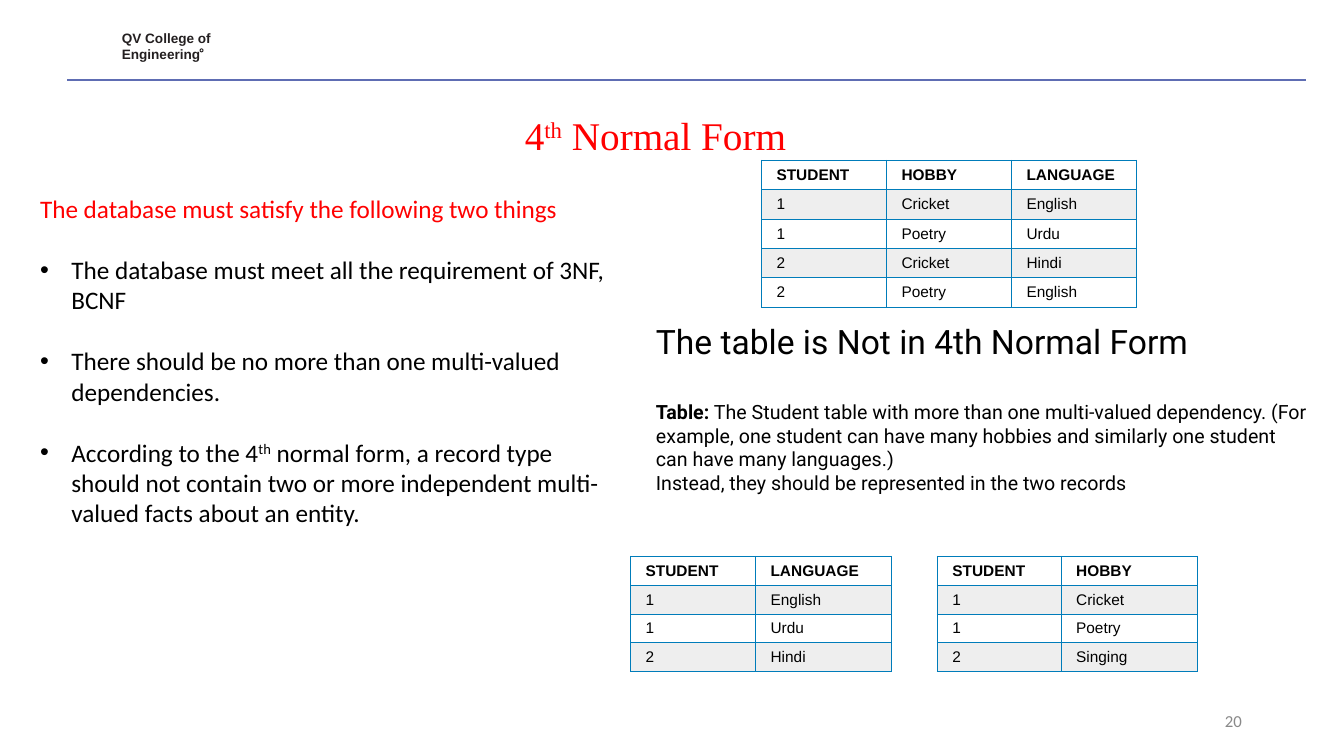
from lxml.etree import SubElement
from pptx import Presentation
from pptx.dml.color import RGBColor
from pptx.enum.shapes import MSO_CONNECTOR, MSO_SHAPE
from pptx.enum.text import MSO_ANCHOR, PP_ALIGN
from pptx.oxml import parse_xml
from pptx.oxml.ns import nsdecls, qn
from pptx.util import Cm, Pt

RED = RGBColor(0xFF, 0x00, 0x00)
BLACK = RGBColor(0x00, 0x00, 0x00)
WHITE = RGBColor(0xFF, 0xFF, 0xFF)
BAND = RGBColor(0xEE, 0xEE, 0xEE)
GRAY = RGBColor(0x89, 0x89, 0x89)
INK = RGBColor(0x23, 0x1F, 0x20)
RULE = RGBColor(0x5E, 0x6D, 0xB3)
BORDER = RGBColor(0x00, 0x7C, 0xBA)

# A paragraph is a list of (text, style) spans; style is "", "bold" or "super".
COLLEGE = [[("QV College of", "")], [("Engineering", "")]]
TITLE = [("4", ""), ("th", "super"), (" Normal Form", "")]
CONDITIONS_HEADING = [("The database must satisfy the following two things", "")]
CONDITIONS = [
    [("The database must meet all the requirement of 3NF, BCNF", "")],
    [("There should be no more than one multi-valued dependencies.", "")],
    [("According to the 4", ""), ("th", "super"),
     (" normal form, a record type should not contain two or more independent "
      "multi-valued facts about an entity.", "")],
]
VERDICT = [("The table is Not in 4th Normal Form", "")]
EXPLANATION = [
    [("Table:", "bold"),
     (" The Student table with more than one multi-valued dependency. (For example, "
      "one student can have many hobbies and similarly one student can have many "
      "languages.)", "")],
    [("Instead, they should be represented in the two records", "")],
]
PAGE_NUMBER = [("20", "")]

# left, top, column widths, row height (cm), rows
TABLES = [
    (19.19, 4.04, (3.15, 3.15, 3.15), 0.74, [
        ("STUDENT", "HOBBY", "LANGUAGE"),
        ("1", "Cricket", "English"),
        ("1", "Poetry", "Urdu"),
        ("2", "Cricket", "Hindi"),
        ("2", "Poetry", "English"),
    ]),
    (15.89, 14.02, (3.15, 3.43), 0.72, [
        ("STUDENT", "LANGUAGE"),
        ("1", "English"),
        ("1", "Urdu"),
        ("2", "Hindi"),
    ]),
    (23.62, 14.02, (3.12, 3.43), 0.72, [
        ("STUDENT", "HOBBY"),
        ("1", "Cricket"),
        ("1", "Poetry"),
        ("2", "Singing"),
    ]),
]


def add_box(page, left, top, width, height):
    frame = page.shapes.add_textbox(Cm(left), Cm(top), Cm(width), Cm(height)).text_frame
    frame.word_wrap = True
    return frame


def add_paragraph(frame, spans, font, size, color, before=0):
    """Fill the empty first paragraph of the frame, or append one."""
    first = frame.paragraphs[0]
    para = frame.add_paragraph() if first.runs else first
    para.space_before = Pt(before)
    para.font.name, para.font.size = font, Pt(size)
    para.font.color.rgb = color
    for text, style in spans:
        span = para.add_run()
        span.text = text
        if style == "bold":
            span.font.bold = True
        elif style == "super":
            span.font._element.set("baseline", "30000")
    return para


def add_bullet(para, indent):
    properties = para._p.get_or_add_pPr()
    properties.set("marL", str(indent))
    properties.set("indent", str(-indent))
    bullet = parse_xml(f'<a:buChar {nsdecls("a")} char="•"/>')
    font = parse_xml(f'<a:buFont {nsdecls("a")} typeface="Arial"/>')
    defaults = properties.find(qn("a:defRPr"))
    defaults.addprevious(font)
    defaults.addprevious(bullet)


def add_borders(cell):
    properties = cell._tc.get_or_add_tcPr()
    for place, side in enumerate(("lnL", "lnR", "lnT", "lnB")):
        properties.insert(place, parse_xml(
            f'<a:{side} {nsdecls("a")} w="{Pt(0.75)}"><a:solidFill>'
            f'<a:srgbClr val="{BORDER}"/></a:solidFill></a:{side}>'))


def add_data_table(page, left, top, widths, row_height, rows):
    table = page.shapes.add_table(
        len(rows), len(widths), Cm(left), Cm(top),
        Cm(sum(widths)), Cm(row_height * len(rows))).table
    for column, width in zip(table.columns, widths):
        column.width = Cm(width)
    for r, values in enumerate(rows):
        table.rows[r].height = Cm(row_height)
        for c, value in enumerate(values):
            cell = table.cell(r, c)
            cell.vertical_anchor = MSO_ANCHOR.MIDDLE
            cell.margin_left = cell.margin_right = Cm(0.38)
            cell.margin_top = cell.margin_bottom = Cm(0.13)
            cell.fill.solid()
            cell.fill.fore_color.rgb = BAND if r % 2 else WHITE
            para = add_paragraph(cell.text_frame, [(value, "")], "Arial", 11, BLACK)
            para.font.bold = r == 0
            add_borders(cell)


def add_header(page):
    mark = page.shapes.add_shape(MSO_SHAPE.DONUT, Cm(5.03), Cm(1.22), Cm(0.1), Cm(0.1))
    mark.shadow.inherit = False
    mark.fill.solid()
    mark.fill.fore_color.rgb = INK
    mark.line.fill.background()

    frame = add_box(page, 3.07, 0.76, 2.4, 0.84)
    frame.margin_left = frame.margin_right = frame.margin_bottom = 0
    frame.margin_top = Cm(0.03)
    for spans in COLLEGE:
        para = add_paragraph(frame, spans, "Arial", 9.7, INK, before=0.8)
        para.line_spacing = Pt(10.8)
        para.font.bold = True

    rule = page.shapes.add_connector(
        MSO_CONNECTOR.STRAIGHT, Cm(1.7), Cm(2.01), Cm(32.92), Cm(2.01))
    rule.line.color.rgb = RULE
    rule.line.width = Pt(1.25)
    SubElement(rule._element.spPr, qn("a:effectLst"))


def main():
    deck = Presentation()
    deck.slide_width, deck.slide_height = Cm(33.87), Cm(19.05)
    page = deck.slides.add_slide(deck.slide_layouts[6])

    add_header(page)

    number = add_box(page, 23.93, 17.65, 7.62, 1.02)
    number.vertical_anchor = MSO_ANCHOR.MIDDLE
    add_paragraph(number, PAGE_NUMBER, "Calibri", 12, GRAY).alignment = PP_ALIGN.RIGHT

    title = add_box(page, 8.71, 2.67, 15.62, 1.45)
    add_paragraph(title, TITLE, "Times New Roman", 28, RED).alignment = PP_ALIGN.CENTER

    conditions = add_box(page, 0.76, 4.75, 14.91, 8.71)
    add_paragraph(conditions, CONDITIONS_HEADING, "Calibri", 18, RED)
    for spans in CONDITIONS:
        add_bullet(add_paragraph(conditions, spans, "Calibri", 18, BLACK, before=22), Cm(0.79))

    remarks = add_box(page, 16.28, 7.95, 16.94, 4.7)
    add_paragraph(remarks, VERDICT, "Roboto", 24, BLACK)
    for spans, before in zip(EXPLANATION, (28, 0)):
        add_paragraph(remarks, spans, "Roboto", 14, BLACK, before)

    for layout in TABLES:
        add_data_table(page, *layout)

    deck.save("out.pptx")


if __name__ == "__main__":
    main()
